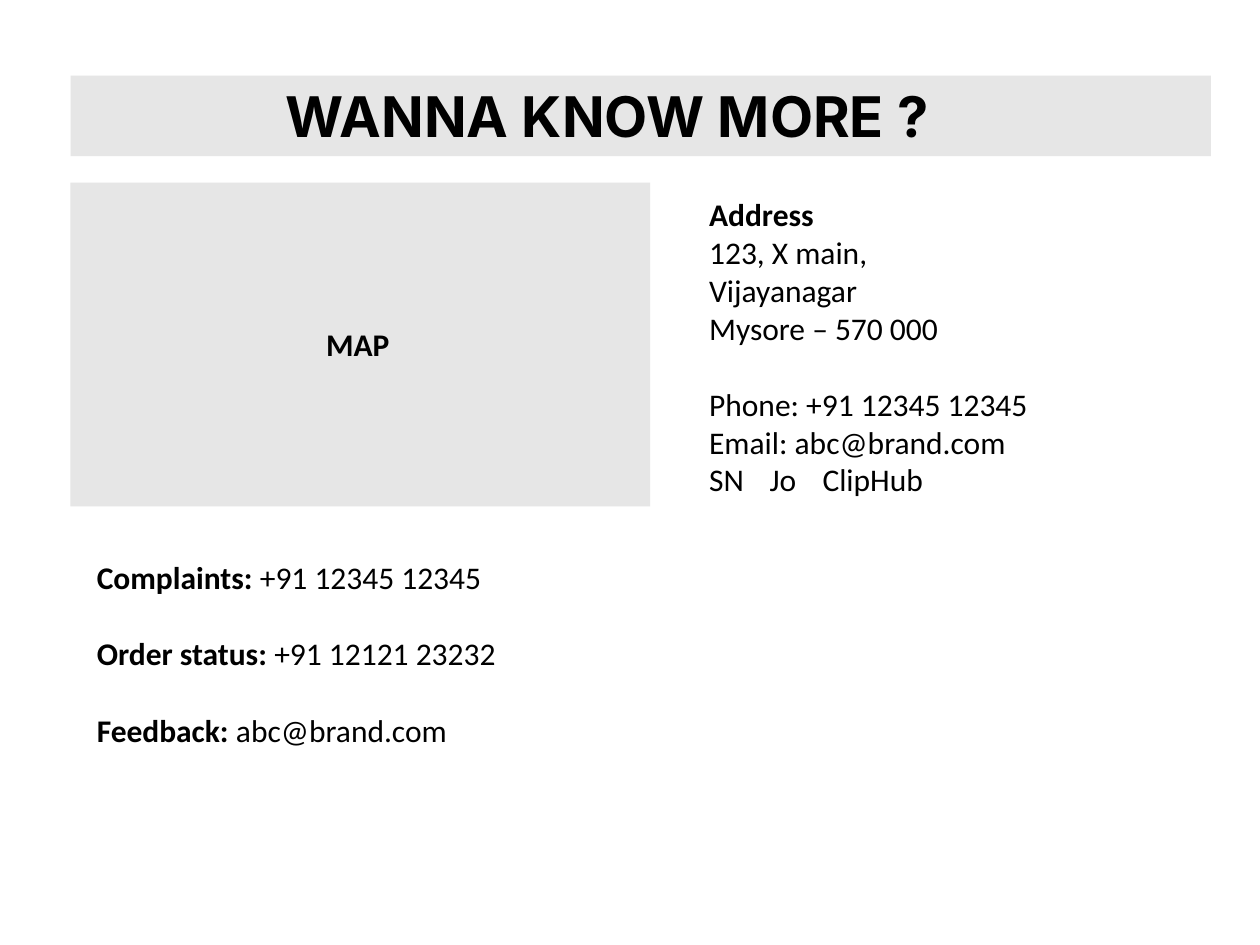
from lxml.etree import SubElement
from pptx import Presentation
from pptx.dml.color import RGBColor
from pptx.enum.shapes import MSO_SHAPE
from pptx.enum.text import PP_ALIGN
from pptx.oxml.ns import qn
from pptx.util import Inches, Pt


def color(value):
    return RGBColor.from_string(value)


class ContactPage:
    font, size, ink = "Calibri", 18, "000000"
    panel_fill, panel_opacity = "D9D9D9", 65
    line_gap = 22  # one text line, in points

    def __init__(self, page):
        self.page = page

    def panel(self, left, top, width, height):
        shape = self.page.shapes.add_shape(
            MSO_SHAPE.RECTANGLE, Inches(left), Inches(top), Inches(width), Inches(height))
        shape.shadow.inherit = False
        shape.line.fill.background()
        shape.fill.solid()
        shape.fill.fore_color.rgb = color(self.panel_fill)
        fill = shape.fill._xPr.find(qn("a:solidFill"))[0]
        SubElement(fill, qn("a:alpha"), val=str(self.panel_opacity * 1000))

    def text(self, left, top, width, height, lines, font=None, size=None,
             align=PP_ALIGN.LEFT):
        """Each line is (bold part, plain part, whether a gap precedes it)."""
        box = self.page.shapes.add_textbox(
            Inches(left), Inches(top), Inches(width), Inches(height))
        frame = box.text_frame
        frame.word_wrap = True
        for index, (bold, plain, gap) in enumerate(lines):
            para = frame.paragraphs[0] if index == 0 else frame.add_paragraph()
            para.alignment = align
            para.space_before = Pt(self.line_gap if gap else 0)
            para.font.name = font or self.font
            para.font.size = Pt(size or self.size)
            para.font.color.rgb = color(self.ink)
            for part, is_bold in ((bold, True), (plain, False)):
                if part:
                    span = para.add_run()
                    span.text = part
                    span.font.bold = is_bold
        return frame

    def tab_stops(self, para, stops):
        properties = para._p.get_or_add_pPr()
        tabs = properties.makeelement(qn("a:tabLst"), {})
        properties.find(qn("a:defRPr")).addprevious(tabs)
        for stop in stops:
            SubElement(tabs, qn("a:tab"), pos=str(Inches(stop)), algn="l")


deck = Presentation()
deck.slide_width, deck.slide_height = Inches(10), Inches(7.5)
contact = ContactPage(deck.slides.add_slide(deck.slide_layouts[6]))

# Title band
contact.panel(0.56, 0.6, 9.05, 0.64)
contact.text(0.65, 0.6, 8.34, 0.64, [("WANNA KNOW MORE ?", "", False)],
             font="Inter", size=32, align=PP_ALIGN.CENTER)

# Address and channels
address = contact.text(5.53, 1.5, 3.7, 2.52, [
    ("Address", "", False),
    ("", "123, X main,", False),
    ("", "Vijayanagar", False),
    ("", "Mysore – 570 000", False),
    ("", "Phone: +91 12345 12345", True),
    ("", "Email: abc@brand.com", False),
    ("", "SN\tJo\tClipHub", False),
])
contact.tab_stops(address.paragraphs[-1], (0.48, 0.9))

# Map area
contact.panel(0.56, 1.45, 4.6, 2.57)

# Help lines
contact.text(0.67, 4.38, 3.7, 1.62, [
    ("Complaints: ", "+91 12345 12345", False),
    ("Order status: ", "+91 12121 23232", True),
    ("Feedback: ", "abc@brand.com", True),
])

# Map label
contact.text(2.49, 2.53, 0.74, 0.4, [("MAP", "", False)])

deck.save("out.pptx")
